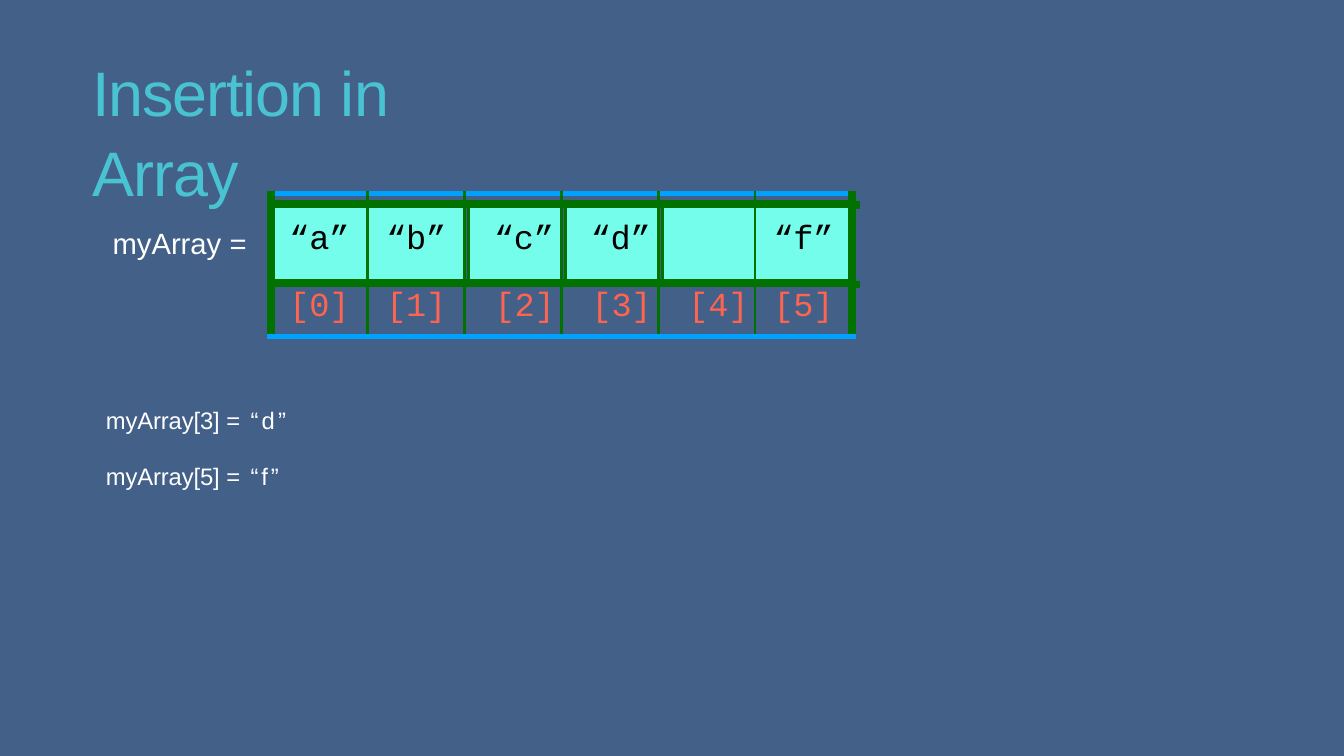
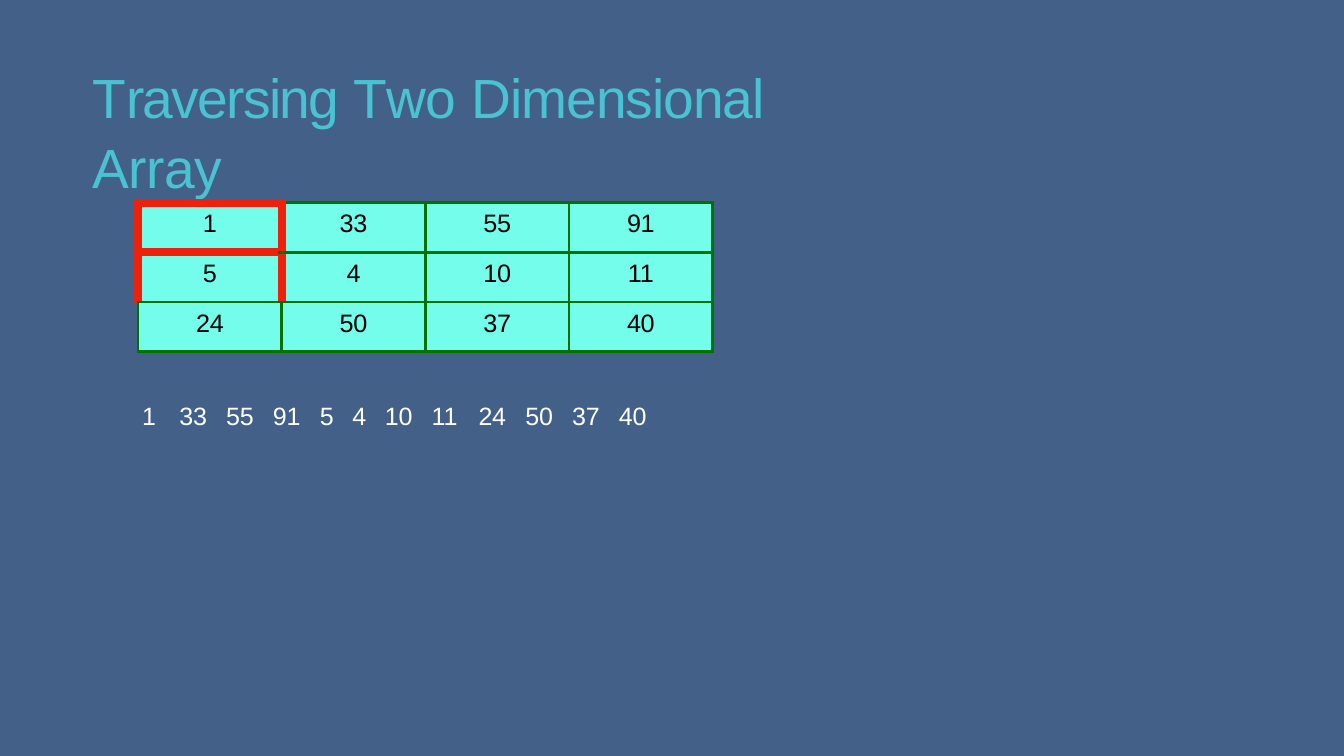
from itertools import accumulate, chain

from lxml import etree
from pptx import Presentation
from pptx.dml.color import RGBColor
from pptx.enum.shapes import MSO_CONNECTOR
from pptx.enum.text import MSO_ANCHOR, PP_ALIGN
from pptx.oxml.ns import qn
from pptx.util import Cm, Pt

LEFT, CENTER = PP_ALIGN.LEFT, PP_ALIGN.CENTER
TOP = MSO_ANCHOR.TOP
STRAIGHT = MSO_CONNECTOR.STRAIGHT

# Shared look
BACKGROUND = "436089"
TITLE_COLOR = "49C3D2"
WHITE, BLACK = "FFFFFF", "000000"
CELL_FILL = "73FDEA"
GREEN, BLUE, RED, CORAL = "017100", "00A2FF", "EE220C", "FF644E"
SANS, MONO = "Arial", "Courier New"
NO_TABLE_STYLE = "{2D5ABB26-0587-4C30-8999-92F81FD0307C}"
THIN, THICK = (GREEN, 2.25), (GREEN, 6.6)
BLUE_EDGE, RED_EDGE = (BLUE, 4.5), (RED, 6.6)

# Content: runs are (text, letter spacing in points)
INSERTION_TITLE = [("Insertion ", -0.8), ("in ", 0), ("Array", -0.7)]
ARRAY_LABEL = [("myArray ", 0), ("=", 1.4)]
ASSIGNMENTS = [
    [("myArray[3] ", -0.1), ("= ", 1.4), ("“d”", 2.2)],
    [("myArray[5] ", -0.1), ("= ", 1.4), ("“f”", 2)],
]
ELEMENTS = ["“a”", "“b”", "“c”", "“d”", "", "“f”"]
SPLIT_ELEMENTS = (2, 3, 4)  # drawn with a narrow gap column on their left

TRAVERSAL_TITLE = [
    ("T", -5), ("raversing ", -1.2), ("T", -5.5), ("wo ", -0.3),
    ("Dimensional ", -0.7), ("Array", -0.4),
]
GRID = [
    [1, 33, 55, 91],
    [5, 4, 10, 11],
    [24, 50, 37, 40],
]
HIGHLIGHTED = {(0, 0), (1, 0)}


def color(value):
    return RGBColor.from_string(value)


def style(paragraph, font_name, size, font_color, align=LEFT):
    paragraph.alignment = align
    font = paragraph.font
    font.name, font.size = font_name, Pt(size)
    font.color.rgb = color(font_color)


def add_run(paragraph, text, spacing):
    run = paragraph.add_run()
    run.text = text
    run.font._element.set("spc", str(round(spacing * 100)))


def add_text(slide, left, top, width, height, lines, size,
             font_color=WHITE, gap=0, line_spacing=None, tabs=()):
    frame = slide.shapes.add_textbox(
        Cm(left), Cm(top), Cm(width), Cm(height)).text_frame
    frame.word_wrap = True
    frame.vertical_anchor = TOP
    frame.margin_left = frame.margin_right = frame.margin_bottom = 0
    frame.margin_top = Cm(0.05)
    for index, runs in enumerate(lines):
        paragraph = frame.add_paragraph() if index else frame.paragraphs[0]
        if tabs:
            properties = paragraph._p.get_or_add_pPr()
            tab_list = etree.SubElement(properties, qn("a:tabLst"))
            for position in tabs:
                etree.SubElement(tab_list, qn("a:tab"),
                                 pos=str(Cm(position)), algn="l")
        style(paragraph, SANS, size, font_color)
        if line_spacing:
            paragraph.line_spacing = line_spacing
        if index:
            paragraph.space_before = Pt(gap)
        for text, spacing in runs:
            add_run(paragraph, text, spacing)


def add_title(slide, top, width, runs, size):
    add_text(slide, 2.33, top, width, 1.9, [runs], size, TITLE_COLOR,
             line_spacing=1.05)


def add_line(slide, left, right, y):
    line = slide.shapes.add_connector(STRAIGHT, Cm(left), Cm(y), Cm(right), Cm(y))
    line.line.color.rgb = color(GREEN)
    line.line.width = Pt(3.3)
    etree.SubElement(line._element.spPr, qn("a:effectLst"))


def add_table(slide, left, top, widths, heights):
    table = slide.shapes.add_table(
        len(heights), len(widths), Cm(left), Cm(top),
        Cm(sum(widths)), Cm(sum(heights))).table
    table.first_row = table.horz_banding = False
    table._tbl.tblPr.find(qn("a:tableStyleId")).text = NO_TABLE_STYLE
    for column, width in zip(table.columns, widths):
        column.width = Cm(width)
    for row, height in zip(table.rows, heights):
        row.height = Cm(height)
    return table


def set_borders(cell, **edges):
    properties = cell._tc.get_or_add_tcPr()
    sides = [side for side in ("left", "right", "top", "bottom") if edges.get(side)]
    for position, side in enumerate(sides):
        edge_color, width = edges[side]
        line = etree.Element(qn("a:ln" + side[0].upper()), w=str(Pt(width)))
        fill = etree.SubElement(line, qn("a:solidFill"))
        etree.SubElement(fill, qn("a:srgbClr"), val=edge_color)
        properties.insert(position, line)


def fill_cell(cell, fill_color, text="", font_name=SANS, size=18,
              font_color=BLACK, align=CENTER, margin_top=0, margin_left=0,
              spacing=0):
    cell.fill.solid()
    cell.fill.fore_color.rgb = color(fill_color)
    cell.margin_right = cell.margin_bottom = 0
    cell.margin_left, cell.margin_top = Cm(margin_left), Cm(margin_top)
    paragraph = cell.text_frame.paragraphs[0]
    if text:
        style(paragraph, font_name, size, font_color, align)
        add_run(paragraph, text, spacing)
    else:
        # A tiny empty line keeps the low rows from growing
        paragraph._p.get_or_add_endParaRPr().set("sz", "100")


def add_array(slide):
    pitch, gap = 2.44, 0.1
    widths, first_columns = [], []
    for index in range(len(ELEMENTS)):
        first_columns.append(len(widths))
        widths += [gap, pitch - gap] if index in SPLIT_ELEMENTS else [pitch]
    table = add_table(slide, 6.83, 4.88, widths, [0.25, 2, 1.35])

    for index, element in enumerate(ELEMENTS):
        split = index in SPLIT_ELEMENTS
        first = first_columns[index]
        last = first + split
        left = THIN if index else THICK
        right = THIN if index < len(ELEMENTS) - 1 else THICK
        align = LEFT if split else CENTER

        # Top strip and index row span the gap column
        strip, index_cell = table.cell(0, first), table.cell(2, first)
        if split:
            strip.merge(table.cell(0, last))
            index_cell.merge(table.cell(2, last))
        fill_cell(strip, BACKGROUND)
        fill_cell(index_cell, BACKGROUND, f"[{index}]", MONO, 24, CORAL, align,
                  0.13, 0.76 if split else 0, -0.2)
        for column in range(first, last + 1):
            set_borders(table.cell(0, column), left=left, right=right,
                        top=BLUE_EDGE, bottom=THICK)
            set_borders(table.cell(2, column), left=left, right=right,
                        top=THICK, bottom=BLUE_EDGE)

        # Element row
        value_cell = table.cell(1, last)
        fill_cell(value_cell, CELL_FILL, element, MONO, 24, BLACK, align,
                  0.46, 0.64 if split else 0, -0.2)
        set_borders(value_cell, left=None if split else left, right=right,
                    top=THICK, bottom=THICK)
        if split:
            gap_cell = table.cell(1, first)
            fill_cell(gap_cell, BACKGROUND)
            set_borders(gap_cell, left=left, top=THICK, bottom=THICK)


def add_grid(slide):
    table = add_table(slide, 3.48, 5.11, [3.62] * len(GRID[0]), [1.25] * len(GRID))
    for row, values in enumerate(GRID):
        for column, value in enumerate(values):
            cell = table.cell(row, column)
            here = (row, column) in HIGHLIGHTED
            beside = (row, column - 1) in HIGHLIGHTED
            below = (row + 1, column) in HIGHLIGHTED
            fill_cell(cell, CELL_FILL, str(value), margin_top=0.18,
                      spacing=-0.2 if value > 9 else 0)
            set_borders(cell,
                        left=RED_EDGE if here or beside else THIN,
                        right=RED_EDGE if here else THIN,
                        top=RED_EDGE if here else THIN,
                        bottom=RED_EDGE if here and below else THIN)


def build_insertion(slide):
    add_title(slide, 1.22, 11.2, INSERTION_TITLE, 44.9)
    for left, right, y in [(14.25, 21.67, 5.13), (21.56, 21.67, 5.21),
                           (21.56, 21.67, 7.14), (14.25, 21.67, 7.21)]:
        add_line(slide, left, right, y)
    add_text(slide, 2.84, 5.63, 3.6, 0.91, [ARRAY_LABEL], 20.9)
    add_text(slide, 2.67, 10.18, 4.62, 2.18, ASSIGNMENTS, 17, gap=19.7)
    add_array(slide)


def build_traversal(slide):
    add_title(slide, 1.47, 20.12, TRAVERSAL_TITLE, 39.4)
    add_grid(slide)
    # Each tab stop follows the width of the number before it
    values = list(chain.from_iterable(GRID))
    steps = [0.82 if value < 10 else 1.18 for value in values[:-1]]
    steps[0] += 0.12
    tabs = [round(position, 2) for position in accumulate(steps)]
    sequence = "\t".join(str(value) for value in values)
    add_text(slide, 3.58, 10.05, 13, 0.79, [[(sequence, -0.1)]], 17.9, tabs=tabs)


def main():
    presentation = Presentation()
    presentation.slide_width, presentation.slide_height = Cm(33.87), Cm(19.05)
    background = presentation.slide_master.background.fill
    background.solid()
    background.fore_color.rgb = color(BACKGROUND)
    blank = presentation.slide_layouts[6]
    for build in (build_insertion, build_traversal):
        build(presentation.slides.add_slide(blank))
    presentation.save("out.pptx")


if __name__ == "__main__":
    main()
